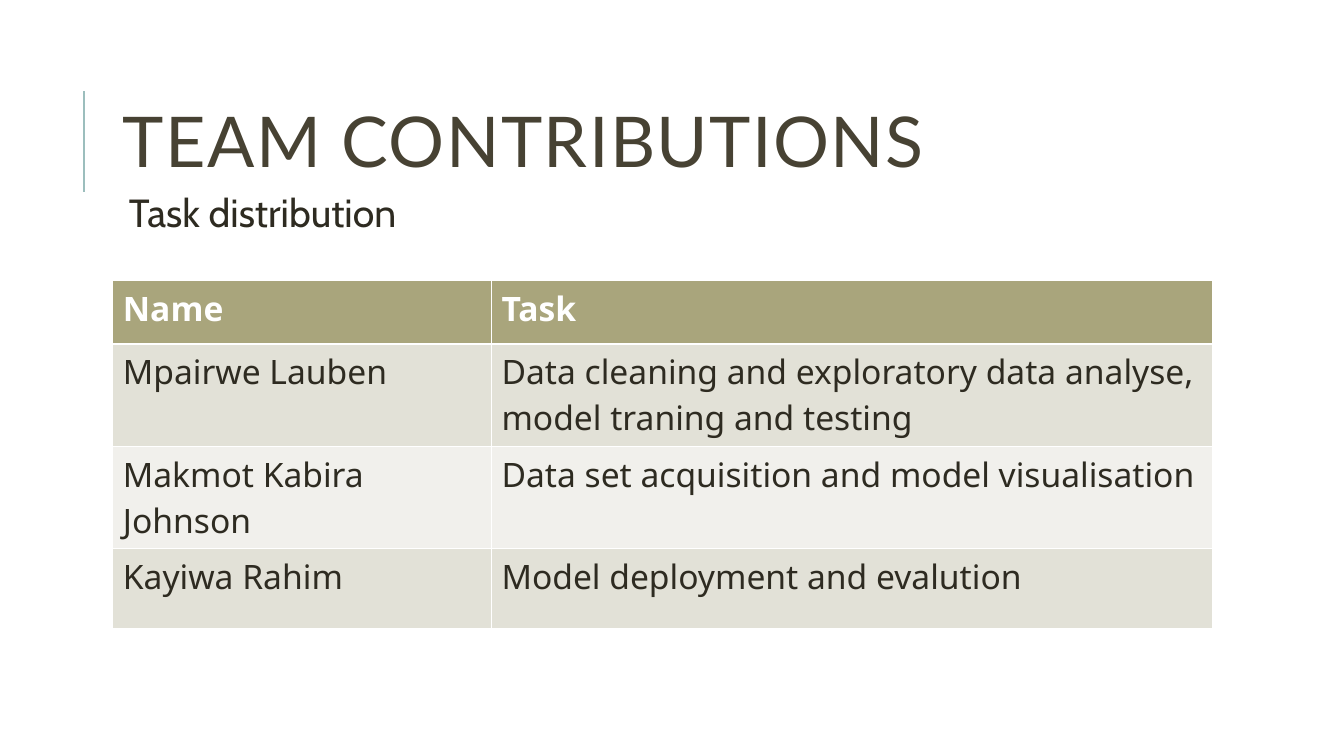
from lxml.etree import SubElement
from pptx import Presentation
from pptx.dml.color import RGBColor
from pptx.enum.shapes import MSO_CONNECTOR
from pptx.enum.text import MSO_ANCHOR, PP_ALIGN
from pptx.oxml import parse_xml
from pptx.oxml.ns import nsdecls, qn
from pptx.util import Pt

COLORS = {
    "accent": "9CBEBD",
    "title": "474233",
    "text": "2E2B21",
    "white": "FFFFFF",
    "header": "A9A57C",
    "odd_row": "E2E1D7",
    "even_row": "F1F0EC",
}
ROWS = [
    ("Name", "Task"),
    ("Mpairwe Lauben",
     "Data cleaning and exploratory data analyse, model traning and testing"),
    ("Makmot Kabira Johnson", "Data set acquisition and model visualisation"),
    ("Kayiwa Rahim", "Model deployment and evalution"),
]
COLUMN_WIDTHS = [270.5, 515]
ROW_HEIGHTS = [45.5, 73, 73, 57]
CONTENT_LEFT, CONTENT_WIDTH = 80.6, 765.4
THIN_BORDER, HEADER_BORDER = 1, 2


def color(name):
    return RGBColor.from_string(COLORS[name])


def set_font(paragraph, name, size, color_name, bold=False):
    font = paragraph.font
    font.name, font.size, font.bold = name, Pt(size), bold
    font.color.rgb = color(color_name)


def place(shape, left, top, width, height):
    shape.left, shape.top = Pt(left), Pt(top)
    shape.width, shape.height = Pt(width), Pt(height)


def add_accent_line(slide):
    line = slide.shapes.add_connector(
        MSO_CONNECTOR.STRAIGHT, Pt(60), Pt(136.8), Pt(60), Pt(64.8))
    line.line.color.rgb = color("accent")
    line.line.width = Pt(1.5)
    SubElement(line.element.spPr, qn("a:effectLst"))


def format_title(slide, text):
    title = slide.shapes.title
    place(title, CONTENT_LEFT, 46, CONTENT_WIDTH, 118)
    frame = title.text_frame
    frame.text = text
    frame.vertical_anchor = MSO_ANCHOR.MIDDLE
    paragraph = frame.paragraphs[0]
    paragraph.alignment = PP_ALIGN.LEFT
    paragraph.line_spacing = 0.8
    set_font(paragraph, "Lato", 50, "title")
    # Letter spacing of one point
    paragraph.runs[0].font._element.set("spc", "100")


def add_subtitle(slide, text):
    box = slide.shapes.add_textbox(
        Pt(CONTENT_LEFT), Pt(134.6), Pt(CONTENT_WIDTH), Pt(362))
    frame = box.text_frame
    frame.word_wrap = True
    frame.margin_left = Pt(11.5)
    frame.margin_top = frame.margin_right = frame.margin_bottom = Pt(3.6)
    frame.text = text
    paragraph = frame.paragraphs[0]
    paragraph.line_spacing = 0.9
    paragraph.space_before, paragraph.space_after = Pt(12), Pt(2)
    set_font(paragraph, "Cabin", 28, "text")


def set_borders(cell, widths):
    properties = cell._tc.get_or_add_tcPr()
    for index, (side, width) in enumerate(widths.items()):
        properties.insert(index, parse_xml(
            f'<a:ln{side} {nsdecls("a")} w="{Pt(width)}"><a:solidFill>'
            f'<a:srgbClr val="{COLORS["white"]}"/></a:solidFill></a:ln{side}>'))


def format_cell(cell, text, row_index):
    is_header = row_index == 0
    fill_name = "odd_row" if row_index % 2 else "even_row"
    cell.text = text
    cell.fill.solid()
    cell.fill.fore_color.rgb = color("header" if is_header else fill_name)
    set_font(cell.text_frame.paragraphs[0], "Noto Sans", 24,
             "white" if is_header else "text", is_header)
    # The rule under the header is thicker than the others
    set_borders(cell, {
        "L": THIN_BORDER,
        "R": THIN_BORDER,
        "T": HEADER_BORDER if row_index == 1 else THIN_BORDER,
        "B": HEADER_BORDER if is_header else THIN_BORDER,
    })


def add_task_table(slide):
    table = slide.shapes.add_table(
        len(ROWS), len(COLUMN_WIDTHS), Pt(CONTENT_LEFT), Pt(200.2),
        Pt(sum(COLUMN_WIDTHS)), Pt(sum(ROW_HEIGHTS))).table
    for column, width in zip(table.columns, COLUMN_WIDTHS):
        column.width = Pt(width)
    for row_index, (texts, height) in enumerate(zip(ROWS, ROW_HEIGHTS)):
        table.rows[row_index].height = Pt(height)
        for column_index, text in enumerate(texts):
            format_cell(table.cell(row_index, column_index), text, row_index)


def main():
    presentation = Presentation()
    presentation.slide_width, presentation.slide_height = Pt(960), Pt(540)
    slide = presentation.slides.add_slide(presentation.slide_layouts[5])

    # Heading
    add_accent_line(slide)
    format_title(slide, "TEAM CONTRIBUTIONS")
    add_subtitle(slide, "Task distribution")

    # Who did what
    add_task_table(slide)

    presentation.save("out.pptx")


if __name__ == "__main__":
    main()
